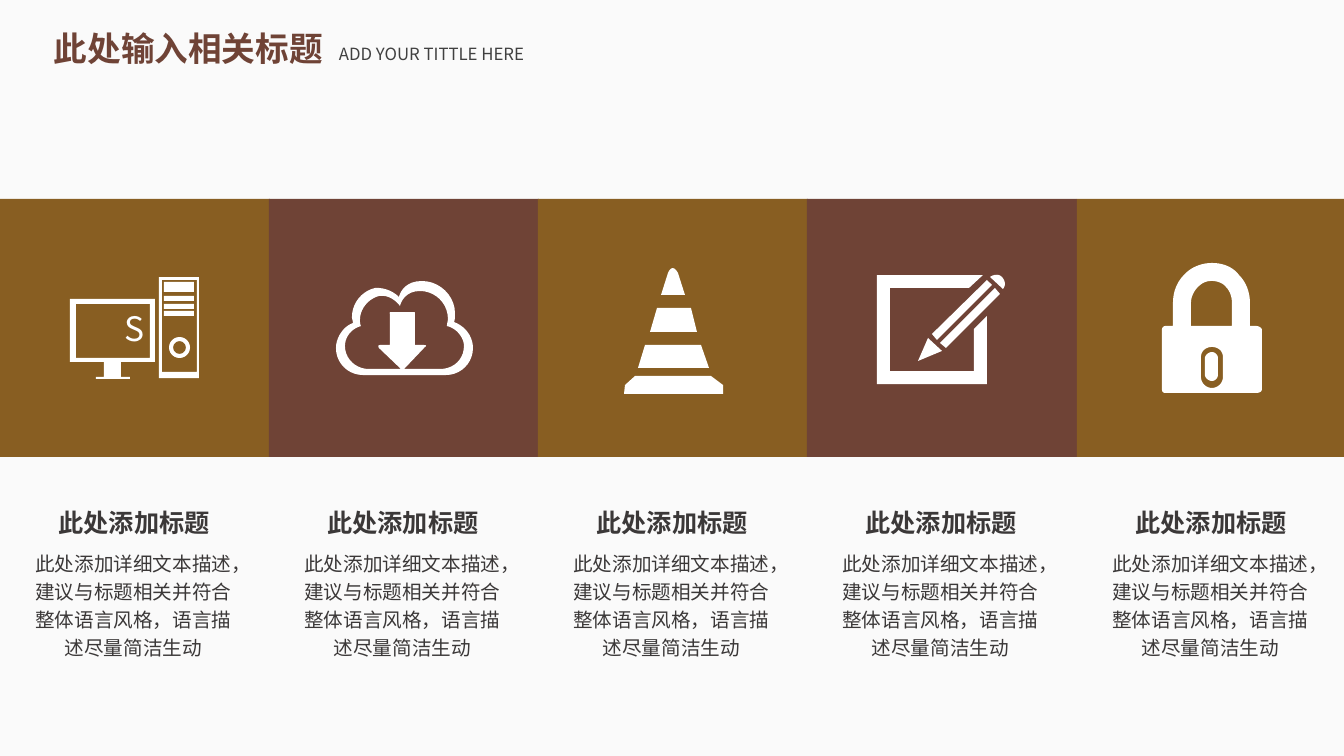
from pptx import Presentation
from pptx.dml.color import RGBColor
from pptx.enum.shapes import MSO_SHAPE
from pptx.enum.text import MSO_ANCHOR, MSO_AUTO_SIZE, PP_ALIGN
from pptx.oxml.ns import qn
from pptx.util import Pt
from lxml.etree import SubElement

PX = 914400 / 100.8  # EMU per px
CURVE_STEPS = 10

THEME = {
    "font": "Noto Sans CJK SC",
    "background": "FAFAFA", "ochre": "885E22", "brown": "6F4336",
    "icon": "FFFFFF", "text": "3B3838", "subtitle": "404040",
    "heading_size": 24, "subtitle_size": 12,
    "topic_size": 18, "detail_size": 14, "screen_size": 24,
}

prs = Presentation()
prs.slide_width, prs.slide_height = round(1344 * PX), round(756 * PX)
slide = prs.slides.add_slide(prs.slide_layouts[6])
shapes = slide.shapes
slide.background.fill.solid()
slide.background.fill.fore_color.rgb = RGBColor.from_string(THEME["background"])


def paint(shape, color):
    shape.shadow.inherit = False
    shape.fill.solid()
    shape.fill.fore_color.rgb = RGBColor.from_string(THEME[color])
    shape.line.fill.background()


def write(shape, text, size, color, align, bold=False, spacing=None):
    paragraph = shape.text_frame.paragraphs[0]
    paragraph.alignment = align
    paragraph.line_spacing = spacing
    run = paragraph.add_run()
    run.text = text
    for name, value in {"name": THEME["font"], "size": Pt(THEME[size]), "bold": bold}.items():
        setattr(run.font, name, value)
    run.font.color.rgb = RGBColor.from_string(THEME[color])
    # East Asian text takes its font from its own element
    SubElement(run.font._element, qn("a:ea"), typeface=THEME["font"])


# Colour band of five panels
panel_lefts = [i * 1077 // 4 for i in range(5)]
for i, left in enumerate(panel_lefts):
    panel = shapes.add_shape(MSO_SHAPE.RECTANGLE, *[round(v * PX) for v in (left, 199, 270, 258)])
    paint(panel, "brown" if i % 2 else "ochre")
    if i == 0:
        panel.text_frame.vertical_anchor = MSO_ANCHOR.MIDDLE
        write(panel, "S", "screen_size", "icon", PP_ALIGN.CENTER)

# Icon outlines: each icon part is a list of contours,
# a pair is a straight step and six numbers are a Bezier step
cone = [
    [(723, 394), (624, 394), (625, 385), (635, 376), (711, 376), (723, 385)],
    [(638, 368), (645, 345), (701, 345), (709, 368)],
    [(650, 332), (657, 308), (691, 308), (697, 332)],
    [(668, 273), (668, 273, 672, 262, 678, 273), (685, 295), (661, 295)],
]
pencil_tip = [[(942, 351), (928, 338), (918, 361)]]
pencil_upper = [[(987, 280), (932, 334), (937, 340), (992, 285)]]
pencil_lower = [[(940, 343), (946, 348), (1000, 294), (995, 288)]]
eraser = [[(1002, 277), (997, 272, 990, 277, 990, 277), (1003, 289),
           (1003, 289, 1008, 284, 1002, 277)]]
paper = [[(974, 371), (890, 371), (890, 288), (969, 288), (983, 275), (877, 275),
          (877, 384), (987, 384), (987, 316), (974, 329)]]
cloud = [
    [(454, 322), (455, 320, 455, 317, 455, 313), (455, 296, 440, 281, 422, 281),
     (402, 281, 399, 297, 399, 297), (399, 297, 390, 287, 375, 288),
     (362, 291, 352, 303, 352, 317), (352, 319, 353, 321, 353, 323),
     (344, 326, 336, 337, 336, 348), (336, 363, 348, 375, 363, 375), (446, 375),
     (461, 375, 473, 363, 473, 348), (473, 336, 465, 326, 454, 322)],
    [(440, 369), (404, 369), (407, 366, 425, 347, 425, 347),
     (425, 347, 428, 345, 424, 345), (415, 345), (415, 313),
     (415, 313, 415, 312, 414, 312), (391, 312), (389, 312, 390, 314, 390, 314),
     (390, 345), (380, 345), (377, 345, 379, 348, 379, 348), (401, 369), (369, 369),
     (356, 369, 345, 359, 345, 346), (345, 337, 351, 329, 361, 326),
     (360, 324, 360, 322, 360, 320), (360, 309, 368, 299, 379, 296),
     (392, 294, 400, 306, 400, 306), (400, 306, 403, 291, 420, 291),
     (435, 291, 448, 303, 448, 319), (448, 321, 447, 323, 447, 326),
     (456, 328, 464, 337, 464, 346), (464, 359, 454, 369, 440, 369)],
]
padlock = [
    [(1256, 326), (1250, 326), (1250, 303), (1250, 292, 1246, 282, 1239, 275),
     (1233, 267, 1223, 263, 1212, 263), (1202, 263, 1191, 267, 1184, 275),
     (1177, 282, 1173, 292, 1173, 303), (1173, 326), (1166, 326),
     (1163, 326, 1162, 328, 1162, 330), (1162, 389), (1162, 392, 1163, 393, 1166, 393),
     (1256, 393), (1259, 393, 1262, 392, 1262, 389), (1262, 330),
     (1262, 328, 1259, 326, 1256, 326)],
    [(1223, 377), (1223, 383, 1218, 388, 1212, 388), (1206, 388, 1201, 383, 1201, 377),
     (1201, 357), (1201, 351, 1206, 347, 1212, 347), (1218, 347, 1223, 351, 1223, 357)],
    [(1232, 326), (1191, 326), (1191, 303), (1191, 297, 1194, 291, 1198, 287),
     (1202, 283, 1206, 281, 1212, 281), (1217, 281, 1223, 283, 1226, 287),
     (1230, 291, 1232, 297, 1232, 303)],
]
keyhole = [[(1212, 352), (1209, 352, 1205, 355, 1205, 358), (1205, 375),
            (1205, 378, 1209, 381, 1212, 381), (1215, 381, 1218, 378, 1218, 375),
            (1218, 358), (1218, 355, 1215, 352, 1212, 352)]]
tower = [
    [(159, 277), (159, 378), (199, 378), (199, 277)],
    [(197, 372), (162, 372), (162, 280), (197, 280)],
]
monitor = [
    [(70, 299), (70, 362), (104, 362), (104, 377), (96, 377), (96, 379), (130, 379),
     (130, 377), (121, 377), (121, 362), (155, 362), (155, 299)],
    [(150, 358), (76, 358), (76, 304), (150, 304)],
]

# Draw the outlines, turning each curve into short steps
for part in (cone, pencil_tip, pencil_upper, pencil_lower, eraser, paper,
             cloud, padlock, keyhole, tower, monitor):
    builder = None
    for contour in part:
        points = [contour[0]]
        for step in contour[1:]:
            if len(step) == 2:
                points.append(step)
                continue
            nodes = [points[-1], step[:2], step[2:4], step[4:]]
            for k in range(1, CURVE_STEPS + 1):
                t = k / CURVE_STEPS
                weights = ((1 - t) ** 3, 3 * t * (1 - t) ** 2, 3 * t * t * (1 - t), t ** 3)
                points.append(tuple(sum(w * node[axis] for w, node in zip(weights, nodes))
                                    for axis in (0, 1)))
        outline = [(round(x * PX), round(y * PX)) for x, y in points]
        if builder is None:
            builder = shapes.build_freeform(*outline[0])
        else:
            builder.move_to(*outline[0])
        builder.add_line_segments(outline[1:], close=True)
    paint(builder.convert_to_shape(), "icon")

# Drive slots and power button of the computer
for top, height in ((282, 10), (296, 5), (304, 5), (311, 5)):
    slot = shapes.add_shape(MSO_SHAPE.RECTANGLE, *[round(v * PX) for v in (164, top, 30, height)])
    paint(slot, "icon")
power_button = shapes.add_shape(MSO_SHAPE.DONUT, *[round(v * PX) for v in (169, 337, 21, 21)])
power_button.adjustments[0] = 0.19
paint(power_button, "icon")

# Topic and detail under each panel
detail_text = "此处添加详细文本描述，建议与标题相关并符合整体语言风格，语言描述尽量简洁生动"
for left in panel_lefts:
    for box, text, size, bold in (
        ((left + 5, 501, 258, 33), "此处添加标题", "topic_size", True),
        ((left + 30, 547, 207, 114), detail_text, "detail_size", False),
    ):
        caption = shapes.add_textbox(*[round(v * PX) for v in box])
        for name, value in {"margin_left": 0, "margin_top": 0, "margin_right": 0,
                            "margin_bottom": 0, "word_wrap": True,
                            "auto_size": MSO_AUTO_SIZE.SHAPE_TO_FIT_TEXT}.items():
            setattr(caption.text_frame, name, value)
        write(caption, text, size, "text", PP_ALIGN.CENTER, bold, 1.2)

# Slide heading and subtitle
for box, text, size, color, bold in (
    ((44, 23, 307, 50), "此处输入相关标题", "heading_size", "brown", True),
    ((329, 39, 281, 30), "ADD YOUR TITTLE HERE", "subtitle_size", "subtitle", False),
):
    heading = shapes.add_textbox(*[round(v * PX) for v in box])
    heading.text_frame.word_wrap = True
    heading.text_frame.auto_size = MSO_AUTO_SIZE.SHAPE_TO_FIT_TEXT
    write(heading, text, size, color, PP_ALIGN.LEFT, bold)

prs.save("out.pptx")
